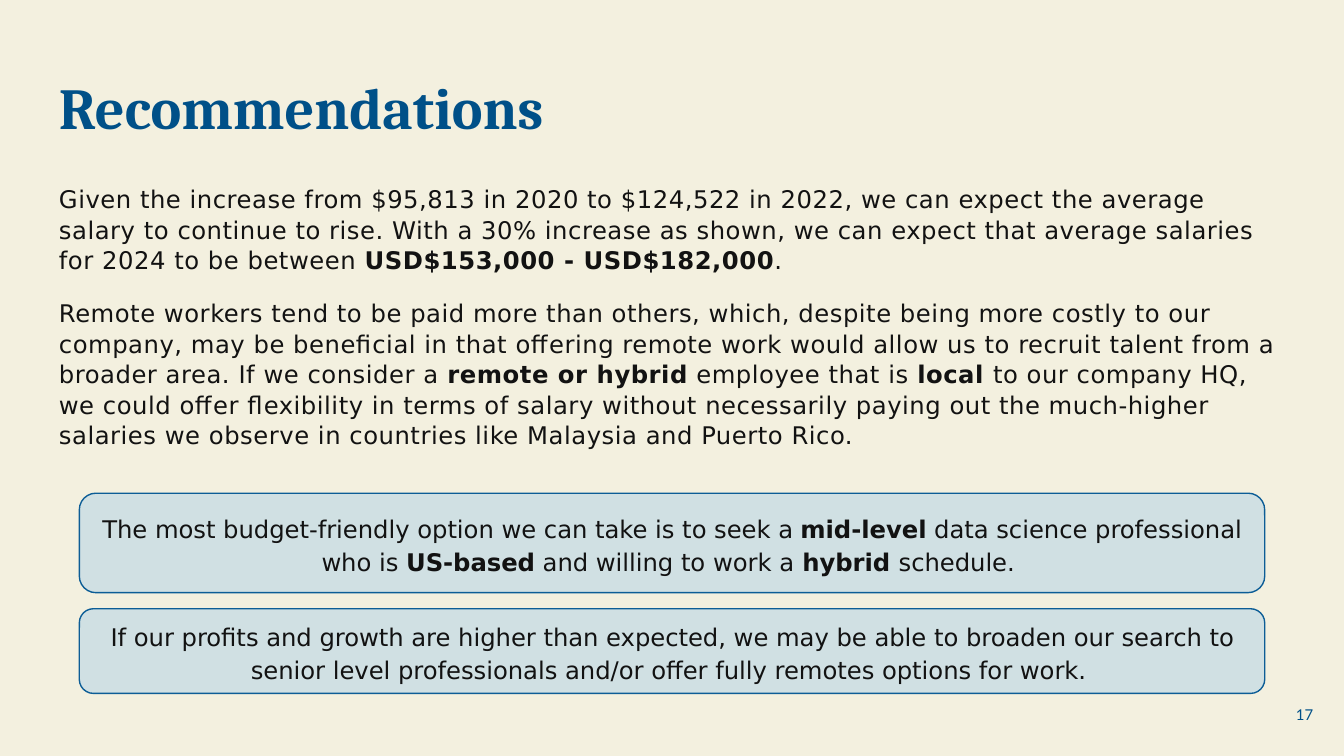
from dataclasses import dataclass
from typing import Any

from pptx import Presentation
from pptx.dml.color import RGBColor
from pptx.enum.shapes import MSO_SHAPE
from pptx.enum.text import MSO_ANCHOR, PP_ALIGN
from pptx.util import Inches, Pt

ROUNDED = MSO_SHAPE.ROUNDED_RECTANGLE
TOP, MIDDLE = MSO_ANCHOR.TOP, MSO_ANCHOR.MIDDLE
LEFT, CENTER, RIGHT = PP_ALIGN.LEFT, PP_ALIGN.CENTER, PP_ALIGN.RIGHT

COLORS = {
    "background": "F3F0DF",
    "heading": "005088",
    "text": "121212",
    "panel": "D0E0E3",
    "border": "0C5D96",
}
WIDTH = Inches(10)
HEIGHT = WIDTH * 9 // 16
COLUMNS = 1000
CELL = WIDTH // COLUMNS  # the grid's cells are square
INSET = Inches(0.1)
BOLD_MARK = "**"


@dataclass(frozen=True)
class Area:
    """Place on the slide, in grid columns and rows."""
    column: int
    row: int
    columns: int
    rows: int

    def box(self) -> tuple[int, int, int, int]:
        return (self.column * CELL, self.row * CELL,
                self.columns * CELL, self.rows * CELL)


@dataclass(frozen=True)
class Style:
    font: str
    size: float
    color: str
    bold: bool = False
    align: Any = LEFT
    anchor: Any = TOP
    line_spacing: float = 1.0
    gap: float = 0
    tracking: int = 0  # hundredths of a point


@dataclass(frozen=True)
class Block:
    area: Area
    style: Style
    paragraphs: tuple[str, ...]
    panel: bool = False


TITLE = Style("Cambria", 31.1, "heading", bold=True, line_spacing=0.9)
BODY = Style("DejaVu Sans", 13, "text", line_spacing=1.05, gap=12, tracking=30)
PANEL = Style("DejaVu Sans", 13, "text", align=CENTER, anchor=MIDDLE, line_spacing=1.15)
NUMBER = Style("Lato", 8, "heading", align=RIGHT, anchor=MIDDLE)

BLOCKS = (
    Block(Area(927, 510, 60, 43), NUMBER, ("17",)),
    Block(Area(34, 126, 932, 241), BODY, (
        "Given the increase from $95,813 in 2020 to $124,522 in 2022, we can expect "
        "the average salary to continue to rise. With a 30% increase as shown, we can "
        "expect that average salaries for 2024 to be between "
        "**USD$153,000 - USD$182,000**.",
        "Remote workers tend to be paid more than others, which, despite being more "
        "costly to our company, may be beneficial in that offering remote work would "
        "allow us to recruit talent from a broader area. If we consider a "
        "**remote or hybrid** employee that is **local **to our company HQ, we could "
        "offer flexibility in terms of salary without necessarily paying out the "
        "much-higher salaries we observe in countries like Malaysia and Puerto Rico.",
    )),
    Block(Area(34, 49, 932, 63), TITLE, ("Recommendations",)),
    Block(Area(59, 367, 882, 74), PANEL, (
        "The most budget-friendly option we can take is to seek a **mid-level** data "
        "science professional who is **US-based** and willing to work a** hybrid "
        "**schedule. ",
    ), panel=True),
    Block(Area(59, 453, 882, 63), PANEL, (
        "If our profits and growth are higher than expected, we may be able to broaden "
        "our search to senior level professionals and/or offer fully remotes options "
        "for work. ",
    ), panel=True),
)


def color(name: str) -> RGBColor:
    return RGBColor.from_string(COLORS[name])


def apply(target: Any, values: dict[str, Any]) -> None:
    for name, value in values.items():
        setattr(target, name, value)


def add_runs(paragraph: Any, text: str, style: Style) -> None:
    """Write the text, with the parts between bold marks in bold."""
    for index, part in enumerate(text.split(BOLD_MARK)):
        if not part:
            continue
        run = paragraph.add_run()
        run.text = part
        apply(run.font, {"name": style.font, "size": Pt(style.size),
                         "bold": style.bold or index % 2 == 1})
        run.font.color.rgb = color(style.color)
        if style.tracking:
            run.font._element.set("spc", str(style.tracking))


def add_panel(slide: Any, area: Area) -> Any:
    shape = slide.shapes.add_shape(ROUNDED, *area.box())
    shape.shadow.inherit = False
    shape.fill.solid()
    shape.fill.fore_color.rgb = color("panel")
    shape.line.color.rgb = color("border")
    shape.line.width = Pt(0.75)
    return shape


def add_block(slide: Any, block: Block) -> None:
    if block.panel:
        shape = add_panel(slide, block.area)
    else:
        shape = slide.shapes.add_textbox(*block.area.box())
    style, frame = block.style, shape.text_frame
    apply(frame, {"word_wrap": True, "vertical_anchor": style.anchor,
                  "margin_left": INSET, "margin_right": INSET,
                  "margin_top": INSET, "margin_bottom": INSET})
    for index, text in enumerate(block.paragraphs):
        paragraph = frame.add_paragraph() if index else frame.paragraphs[0]
        apply(paragraph, {"alignment": style.align, "line_spacing": style.line_spacing,
                          "space_before": Pt(style.gap if index else 0)})
        add_runs(paragraph, text, style)


def main() -> None:
    presentation = Presentation()
    apply(presentation, {"slide_width": WIDTH, "slide_height": HEIGHT})
    slide = presentation.slides.add_slide(presentation.slide_layouts[6])
    slide.background.fill.solid()
    slide.background.fill.fore_color.rgb = color("background")
    for block in BLOCKS:
        add_block(slide, block)
    presentation.save("out.pptx")


if __name__ == "__main__":
    main()
